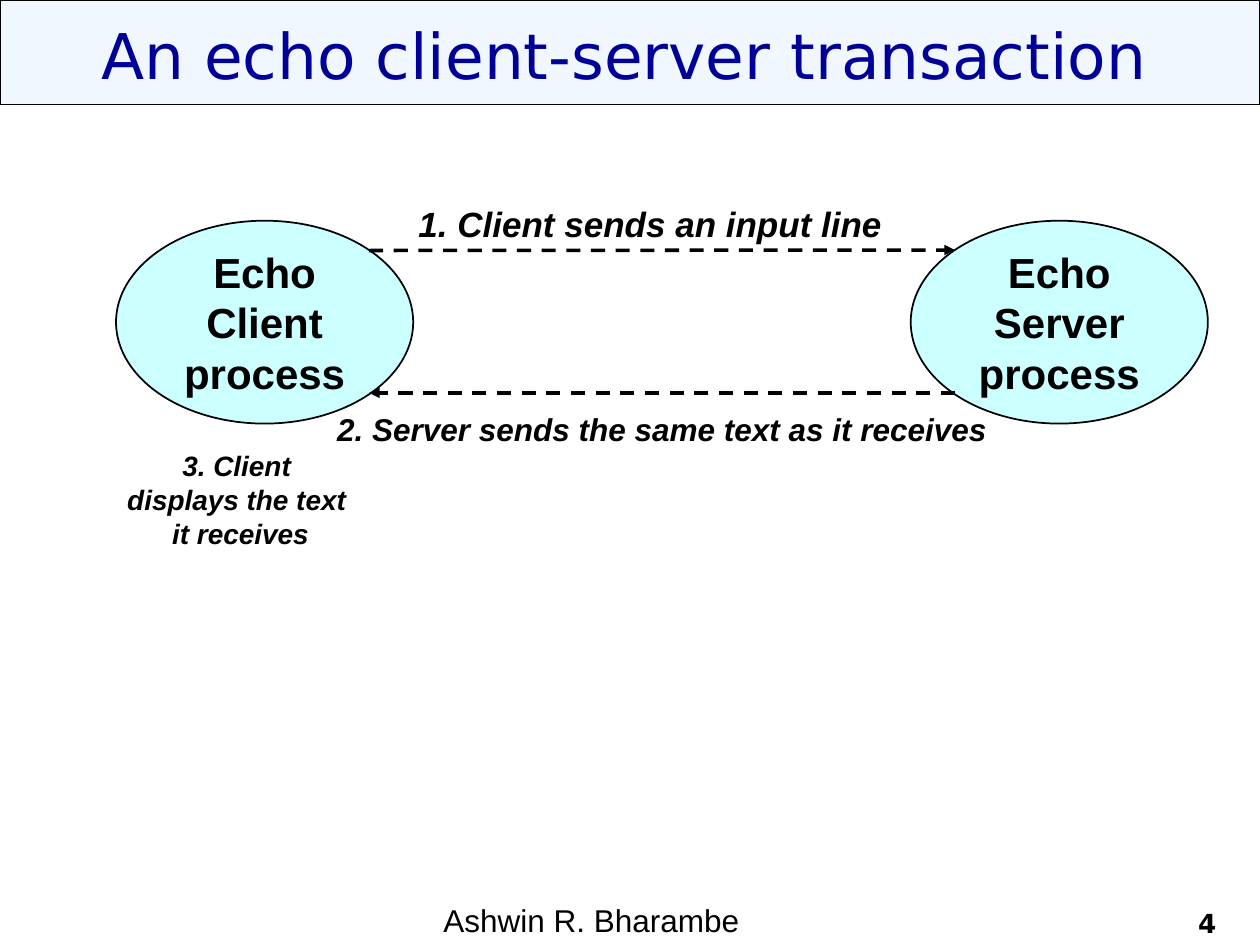
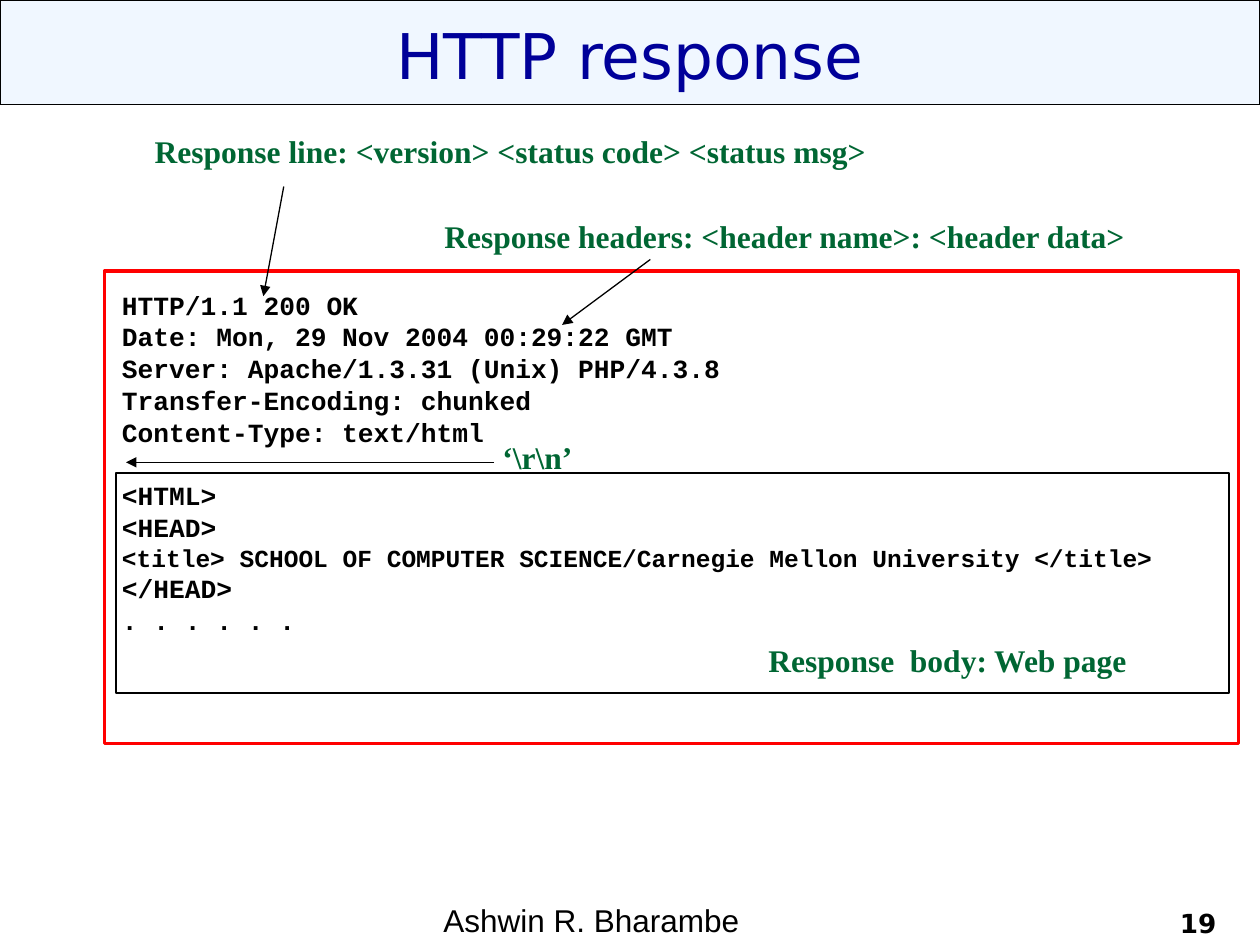
from lxml import etree
from pptx import Presentation
from pptx.dml.color import RGBColor
from pptx.enum.dml import MSO_LINE_DASH_STYLE as Dash
from pptx.enum.shapes import MSO_CONNECTOR as Conn, MSO_SHAPE as Shape
from pptx.enum.text import MSO_ANCHOR as Anchor, MSO_AUTO_SIZE as Auto, PP_ALIGN as Align
from pptx.oxml.ns import qn
from pptx.util import Cm, Pt

BLACK = RGBColor(0, 0, 0)
NAVY = RGBColor(0x00, 0x00, 0x99)
GREEN = RGBColor(0x00, 0x66, 0x33)
RED = RGBColor(0xFF, 0x00, 0x00)
AQUA = RGBColor(0xCC, 0xFF, 0xFF)
PALE = RGBColor(0xF0, 0xF7, 0xFF)


def write(shape, text, size=18, font="Arial", color=BLACK, bold=False, italic=False,
          align=Align.LEFT, anchor=Anchor.TOP, wrap=True, side=0.25):
    """Fill a shape with text, one paragraph a line, and return the paragraphs."""
    frame = shape.text_frame
    frame.text = text
    frame.auto_size = Auto.NONE
    frame.word_wrap = wrap
    frame.vertical_anchor = anchor
    frame.margin_left = frame.margin_right = Cm(side)
    frame.margin_top = frame.margin_bottom = Cm(0.13)
    for para in frame.paragraphs:
        para.alignment = align
        for run in para.runs:
            run.font.size, run.font.name = Pt(size), font
            run.font.bold, run.font.italic = bold, italic
            run.font.color.rgb = color
    return frame.paragraphs


def arrow(slide, start, end, width=0.75, dash=None):
    """Draw a black line with a head at its end."""
    line = slide.shapes.add_connector(Conn.STRAIGHT, *map(Cm, start + end))
    line.line.color.rgb = BLACK
    line.line.width = Pt(width)
    if dash:
        line.line.dash_style = dash
    props = line._element.spPr
    etree.SubElement(props.find(qn("a:ln")), qn("a:tailEnd"), type="triangle")
    etree.SubElement(props, qn("a:effectLst"))


deck = Presentation()
deck.slide_width, deck.slide_height = Cm(25.4), Cm(19.05)
layout = deck.slide_layouts[5]

# Titles and footers
heads = [
    ("An echo client-server transaction", (1.47, 0.2, 22.23, 1.42), "4"),
    ("HTTP response", (1.27, 0.2, 22.86, 1.9), "19"),
]
for head, place, page in heads:
    slide = deck.slides.add_slide(layout)
    title = slide.shapes.title
    title.left, title.top, title.width, title.height = map(Cm, place)
    write(title, head, size=36, font="DejaVu Sans", color=NAVY, align=Align.CENTER)
    name = slide.shapes.add_textbox(Cm(8.69), Cm(18.62), Cm(8.05), Cm(0.43))
    write(name, "Ashwin R. Bharambe", anchor=Anchor.BOTTOM)
    num = slide.shapes.add_textbox(Cm(18.85), Cm(18.42), Cm(5.92), Cm(0.63))
    write(num, page, size=15, font="DejaVu Sans", bold=True, align=Align.RIGHT,
          anchor=Anchor.BOTTOM)
echo, http = deck.slides

# Title band, moved to the layout so that both slides share it
band = echo.shapes.add_shape(Shape.RECTANGLE, 0, 0, Cm(25.4), Cm(2.11))
band.shadow.inherit = False
band.fill.solid()
band.fill.fore_color.rgb = PALE
band.line.color.rgb = BLACK
band.line.width = Pt(0.75)
layout.shapes.element.insert(2, band.element)

# Echo: the two processes
for left, role in ((2.34, "Client"), (18.36, "Server")):
    oval = echo.shapes.add_shape(Shape.OVAL, Cm(left), Cm(4.45), Cm(5.99), Cm(4.09))
    oval.shadow.inherit = False
    oval.fill.solid()
    oval.fill.fore_color.rgb = AQUA
    oval.line.color.rgb = BLACK
    oval.line.width = Pt(1)
    write(oval, f"Echo\n{role}\nprocess", size=24, bold=True, align=Align.CENTER,
          anchor=Anchor.MIDDLE, wrap=False)

# Echo: the steps and their arrows
steps = [
    ("1. Client sends an input line", 20, (8.18, 3.94, 9.86, 1.12)),
    ("2. Server sends the same text as it receives", 18, (6.55, 8.13, 13.59, 1.02)),
    ("3. Client \ndisplays the text \vit receives", 16, (2.31, 8.92, 5.08, 2.29)),
]
for text, size, place in steps:
    box = echo.shapes.add_textbox(*map(Cm, place))
    write(box, text, size=size, bold=True, italic=True, align=Align.CENTER,
          anchor=Anchor.MIDDLE, wrap=False)
arrow(echo, (7.44, 5.05), (19.25, 5.04), width=2, dash=Dash.DASH)
arrow(echo, (19.25, 7.92), (7.44, 7.92), width=2, dash=Dash.DASH)

# HTTP: the response text
reply = """HTTP/1.1 200 OK
Date: Mon, 29 Nov 2004 00:29:22 GMT
Server: Apache/1.3.31 (Unix) PHP/4.3.8
Transfer-Encoding: chunked
Content-Type: text/html
<HTML>
<HEAD>
<title> SCHOOL OF COMPUTER SCIENCE/Carnegie Mellon University </title>
</HEAD>
. . . . . ."""
box = http.shapes.add_textbox(Cm(2.46), Cm(5.82), Cm(22.66), Cm(8.69))
paras = write(box, reply, size=15, font="Courier New", bold=True, side=0)
for para in paras:
    para.line_spacing = 0.8
for para in paras[1:]:
    para.space_before = Pt(3.7)
    if para.text == "<HTML>":
        para.space_before = Pt(21.8)
    elif para.text.startswith("<title>"):
        para.space_before = Pt(3.5)
        para.runs[0].font.size = Pt(14)

# HTTP: frames round the response and its body
frames = [
    ((2.11, 5.46, 22.86, 9.53), RED, 2),
    ((2.34, 9.53, 22.43, 4.45), BLACK, 1.25),
]
for place, color, width in frames:
    frame = http.shapes.add_shape(Shape.RECTANGLE, *map(Cm, place))
    frame.shadow.inherit = False
    frame.fill.background()
    frame.line.color.rgb = color
    frame.line.width = Pt(width)

# HTTP: labels and their arrows
labels = [
    ("Response line: <version> <status code> <status msg>", 2.87, 2.54, 18.69),
    ("Response headers: <header name>: <header data>", 8.71, 4.24, 15.72),
    ("‘\\r\\n’", 9.88, 8.71, 2.49),
    ("Response  body: Web page", 15.24, 12.8, 8.46),
]
for text, left, top, width in labels:
    box = http.shapes.add_textbox(Cm(left), Cm(top), Cm(width), Cm(1.02))
    write(box, text, font="Times New Roman", color=GREEN, bold=True)
arrow(http, (5.72, 3.76), (5.31, 5.97))
arrow(http, (13.11, 5.23), (11.33, 6.55))
arrow(http, (9.96, 9.32), (2.54, 9.32))

deck.save("out.pptx")
